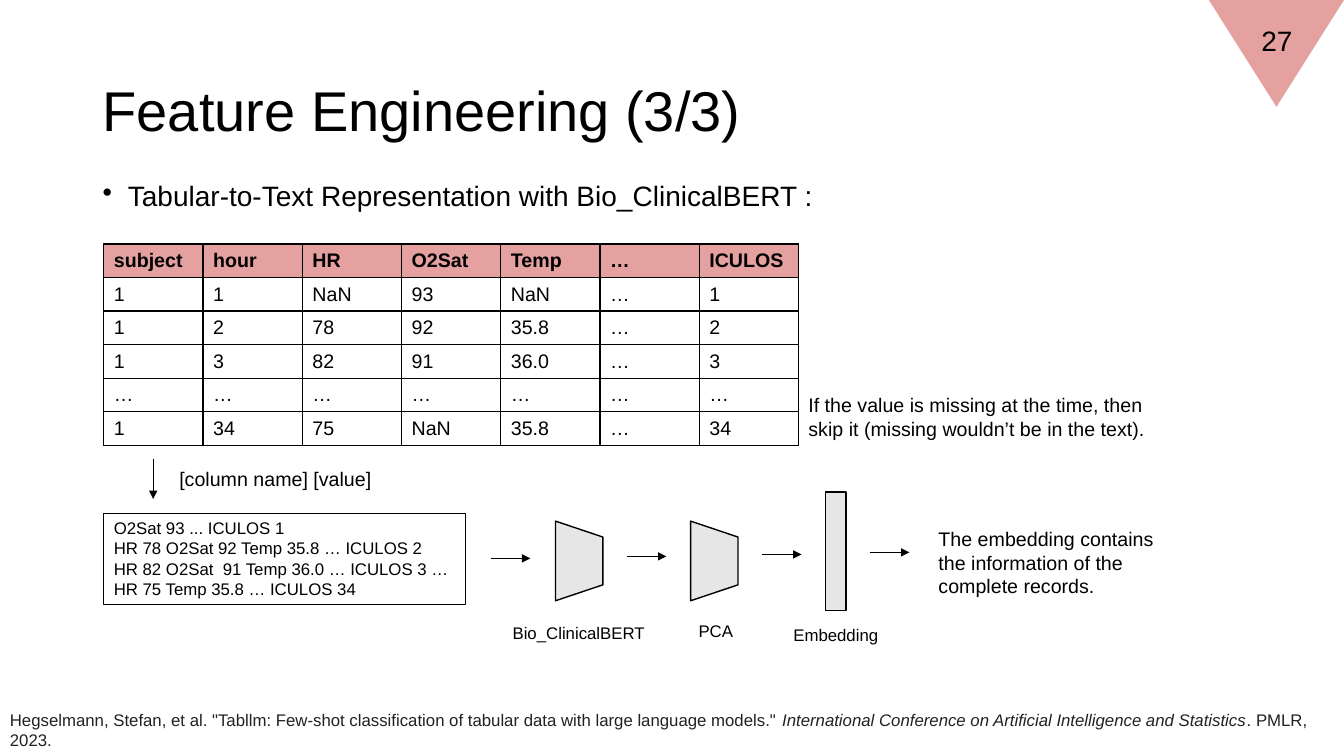
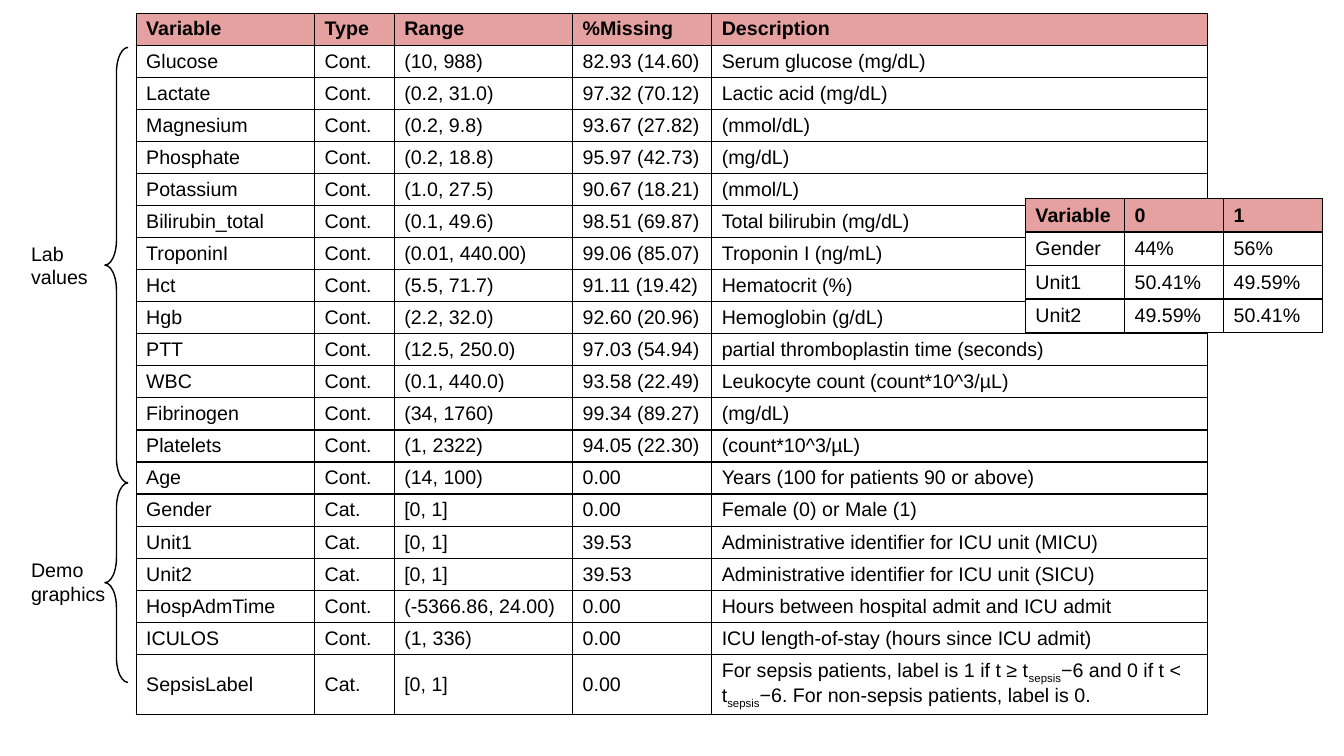
from lxml.etree import SubElement as Sub
from pptx import Presentation
from pptx.dml.color import RGBColor
from pptx.enum.shapes import MSO_CONNECTOR as Link, MSO_SHAPE as Kind
from pptx.enum.text import MSO_ANCHOR as Anchor, PP_ALIGN as Align
from pptx.oxml.ns import qn
from pptx.util import Inches, Pt

FONT = "Arial"
BLACK = "000000"
WHITE = "FFFFFF"
PINK = "E5A0A0"
GREY = "E7E6E6"
INK = "222222"


def color(code):
    return RGBColor.from_string(code)


def write(frame, text, size=14, ink=BLACK, bold=False, align=Align.LEFT,
          anchor=Anchor.TOP, lead=None, above=None, bullet=None):
    frame.word_wrap = True
    frame.vertical_anchor = anchor
    lines = text if isinstance(text, list) else [text]
    for index, line in enumerate(lines):
        para = frame.paragraphs[0] if index == 0 else frame.add_paragraph()
        para.alignment = align
        if lead:
            para.line_spacing = lead
        if above:
            para.space_before = Pt(above)
        if bullet:
            props = para._p.get_or_add_pPr()
            props.set("marL", str(Inches(0.25)))
            props.set("indent", str(-Inches(0.25)))
            Sub(props, qn("a:buChar"), char=bullet)
        parts = line if isinstance(line, tuple) else (line,)
        for part in parts:
            words, look = part if isinstance(part, tuple) else (part, "")
            run = para.add_run()
            run.text = words
            font = run.font
            font.name, font.size, font.bold = FONT, Pt(size), bold
            font.color.rgb = color(ink)
            if look == "italic":
                font.italic = True
            if look == "sub":
                font._element.set("baseline", "-25000")


class Deck:
    def __init__(self):
        self.show = Presentation()
        self.show.slide_width = Inches(13.33)
        self.show.slide_height = Inches(7.5)
        self.slide = None

    def page(self):
        self.slide = self.show.slides.add_slide(self.show.slide_layouts[6])

    def text(self, text, box, **form):
        shape = self.slide.shapes.add_textbox(*map(Inches, box))
        write(shape.text_frame, text, **form)

    def shape(self, kind, box, fill=None, line=None, width=1, turn=0):
        shape = self.slide.shapes.add_shape(kind, *map(Inches, box))
        shape.shadow.inherit = False
        shape.rotation = turn
        if fill:
            shape.fill.solid()
            shape.fill.fore_color.rgb = color(fill)
        else:
            shape.fill.background()
        if line:
            shape.line.color.rgb = color(line)
            shape.line.width = Pt(width)
        else:
            shape.line.fill.background()
        return shape

    def arrow(self, x, y, across=0, down=0):
        ends = map(Inches, (x, y, x + across, y + down))
        line = self.slide.shapes.add_connector(Link.STRAIGHT, *ends)
        line.line.color.rgb = color(BLACK)
        line.line.width = Pt(1)
        Sub(line.line._get_or_add_ln(), qn("a:tailEnd"), type="triangle")
        Sub(line._element.spPr, qn("a:effectLst"))

    def brace(self, top, height):
        shape = self.shape(Kind.RIGHT_BRACE, (1.04, top, 0.23, height),
                           line=BLACK, turn=180)
        shape.adjustments[0] = 1.08

    def table(self, rows, left, top, widths, heights):
        box = map(Inches, (left, top, sum(widths), sum(heights)))
        grid = self.slide.shapes.add_table(len(rows), len(widths), *box).table
        grid.first_row = grid.horz_banding = False
        for column, width in zip(grid.columns, widths):
            column.width = Inches(width)
        for row, height, texts in zip(grid.rows, heights, rows):
            row.height = Inches(height)
            head = texts is rows[0]
            for cell, text in zip(row.cells, texts):
                self.cell(cell, text, head)

    def cell(self, cell, text, head):
        cell.margin_top = cell.margin_bottom = Inches(0.03)
        props = cell._tc.get_or_add_tcPr()
        for side in "LRTB":
            edge = Sub(props, qn("a:ln" + side), w=str(Pt(1)))
            fill = Sub(edge, qn("a:solidFill"))
            Sub(fill, qn("a:srgbClr"), val=BLACK)
        cell.fill.solid()
        cell.fill.fore_color.rgb = color(PINK if head else WHITE)
        write(cell.text_frame, text, bold=head)
        cell.vertical_anchor = Anchor.MIDDLE

    def title(self, text, number):
        self.text(text, (0.92, 0.4, 11.5, 1.45), size=40, lead=0.9,
                  anchor=Anchor.MIDDLE)
        self.shape(Kind.ISOSCELES_TRIANGLE, (11.99, 0, 1.34, 1.06),
                   fill=PINK, turn=180)
        self.text(number, (12.19, 0.18, 0.95, 0.44), size=20,
                  align=Align.CENTER)


RECORDS = [
    ("subject", "hour", "HR", "O2Sat", "Temp", "…", "ICULOS"),
    ("1", "1", "NaN", "93", "NaN", "…", "1"),
    ("1", "2", "78", "92", "35.8", "…", "2"),
    ("1", "3", "82", "91", "36.0", "…", "3"),
    ("…",) * 7,
    ("1", "34", "75", "NaN", "35.8", "…", "34"),
]

LABEL = [(
    "For sepsis patients, label is 1 if t ≥ t", ("sepsis", "sub"),
    "−6 and 0 if t < t", ("sepsis", "sub"),
    "−6. For non-sepsis patients, label is 0.",
)]

FIELDS = [
    ("Variable", "Type", "Range", "%Missing", "Description"),
    ("Glucose", "Cont.", "(10, 988)", "82.93 (14.60)", "Serum glucose (mg/dL)"),
    ("Lactate", "Cont.", "(0.2, 31.0)", "97.32 (70.12)", "Lactic acid (mg/dL)"),
    ("Magnesium", "Cont.", "(0.2, 9.8)", "93.67 (27.82)", "(mmol/dL)"),
    ("Phosphate", "Cont.", "(0.2, 18.8)", "95.97 (42.73)", "(mg/dL)"),
    ("Potassium", "Cont.", "(1.0, 27.5)", "90.67 (18.21)", "(mmol/L)"),
    ("Bilirubin_total", "Cont.", "(0.1, 49.6)", "98.51 (69.87)",
     "Total bilirubin (mg/dL)"),
    ("TroponinI", "Cont.", "(0.01, 440.00)", "99.06 (85.07)",
     "Troponin I (ng/mL)"),
    ("Hct", "Cont.", "(5.5, 71.7)", "91.11 (19.42)", "Hematocrit (%)"),
    ("Hgb", "Cont.", "(2.2, 32.0)", "92.60 (20.96)", "Hemoglobin (g/dL)"),
    ("PTT", "Cont.", "(12.5, 250.0)", "97.03 (54.94)",
     "partial thromboplastin time (seconds)"),
    ("WBC", "Cont.", "(0.1, 440.0)", "93.58 (22.49)",
     "Leukocyte count (count*10^3/µL)"),
    ("Fibrinogen", "Cont.", "(34, 1760)", "99.34 (89.27)", "(mg/dL)"),
    ("Platelets", "Cont.", "(1, 2322)", "94.05 (22.30)", "(count*10^3/µL)"),
    ("Age", "Cont.", "(14, 100)", "0.00", "Years (100 for patients 90 or above)"),
    ("Gender", "Cat.", "[0, 1]", "0.00", "Female (0) or Male (1)"),
    ("Unit1", "Cat.", "[0, 1]", "39.53",
     "Administrative identifier for ICU unit (MICU)"),
    ("Unit2", "Cat.", "[0, 1]", "39.53",
     "Administrative identifier for ICU unit (SICU)"),
    ("HospAdmTime", "Cont.", "(-5366.86, 24.00)", "0.00",
     "Hours between hospital admit and ICU admit"),
    ("ICULOS", "Cont.", "(1, 336)", "0.00",
     "ICU length-of-stay (hours since ICU admit)"),
    ("SepsisLabel", "Cat.", "[0, 1]", "0.00", LABEL),
]

SHARES = [
    ("Variable", "0", "1"),
    ("Gender", "44%", "56%"),
    ("Unit1", "50.41%", "49.59%"),
    ("Unit2", "49.59%", "50.41%"),
]

SENTENCES = [
    "O2Sat 93 ... ICULOS 1",
    "HR 78 O2Sat 92 Temp 35.8 … ICULOS 2",
    "HR 82 O2Sat  91 Temp 36.0 … ICULOS 3 …",
    "HR 75 Temp 35.8 … ICULOS 34",
]

CITATION = [(
    'Hegselmann, Stefan, et al. "Tabllm: Few-shot classification of tabular '
    'data with large language models." ',
    ("International Conference on Artificial Intelligence and Statistics",
     "italic"),
    ". PMLR, 2023.",
)]


def features(deck):
    deck.page()
    deck.title("Feature Engineering (3/3)", "27")
    deck.text("Tabular-to-Text Representation with Bio_ClinicalBERT :",
              (0.92, 1.76, 8.19, 0.74), size=20, lead=0.9, above=10,
              bullet="•")
    deck.table(RECORDS, 1.03, 2.42, [6.89 / 7] * 7, [2 / 6] * 6)
    deck.text("If the value is missing at the time, then skip it "
              "(missing wouldn’t be in the text).", (7.92, 3.85, 3.74, 0.57))
    deck.arrow(1.52, 4.55, down=0.4)
    deck.text("[column name] [value]", (1.68, 4.58, 2.3, 0.34))
    box = deck.shape(Kind.RECTANGLE, (1.03, 5.09, 3.59, 0.91),
                     line=BLACK, width=0.75)
    write(box.text_frame, SENTENCES, size=12)
    for x, y in ((4.87, 5.54), (6.22, 5.52), (7.56, 5.5), (8.63, 5.48)):
        deck.arrow(x, y, across=0.39)
    for x in (5.35, 6.69):
        deck.shape(Kind.FLOWCHART_MANUAL_OPERATION, (x, 5.33, 0.79, 0.47),
                   fill=GREY, line=BLACK, turn=270)
    deck.shape(Kind.RECTANGLE, (8.19, 4.88, 0.2, 1.18), fill=GREY, line=BLACK)
    for name, x, y, width in (("Bio_ClinicalBERT", 4.97, 6.13, 1.54),
                              ("PCA", 6.33, 6.11, 1.54),
                              ("Embedding", 7.7, 6.15, 1.18)):
        deck.text(name, (x, y, width, 0.3), size=12, align=Align.CENTER)
    deck.text("The embedding contains the information of the complete records.",
              (9.21, 5.18, 2.44, 0.81))
    deck.text(CITATION, (0, 6.99, 13.33, 0.5), size=12, ink=INK)


def fields(deck):
    deck.page()
    deck.table(FIELDS, 1.35, 0.13, [1.77, 0.79, 1.77, 1.38, 4.92],
               [6.37 / 20] * 20 + [0.6])
    deck.brace(0.47, 4.32)
    deck.text(["Lab", "values"], (0.21, 2.35, 0.93, 0.57))
    deck.brace(4.79, 1.98)
    deck.text(["Demo", "graphics"], (0.21, 5.49, 1.12, 0.57))
    deck.table(SHARES, 10.17, 1.97, [2.95 / 3] * 3, [1.33 / 4] * 4)


def main():
    deck = Deck()
    features(deck)
    fields(deck)
    deck.show.save("out.pptx")


if __name__ == "__main__":
    main()
